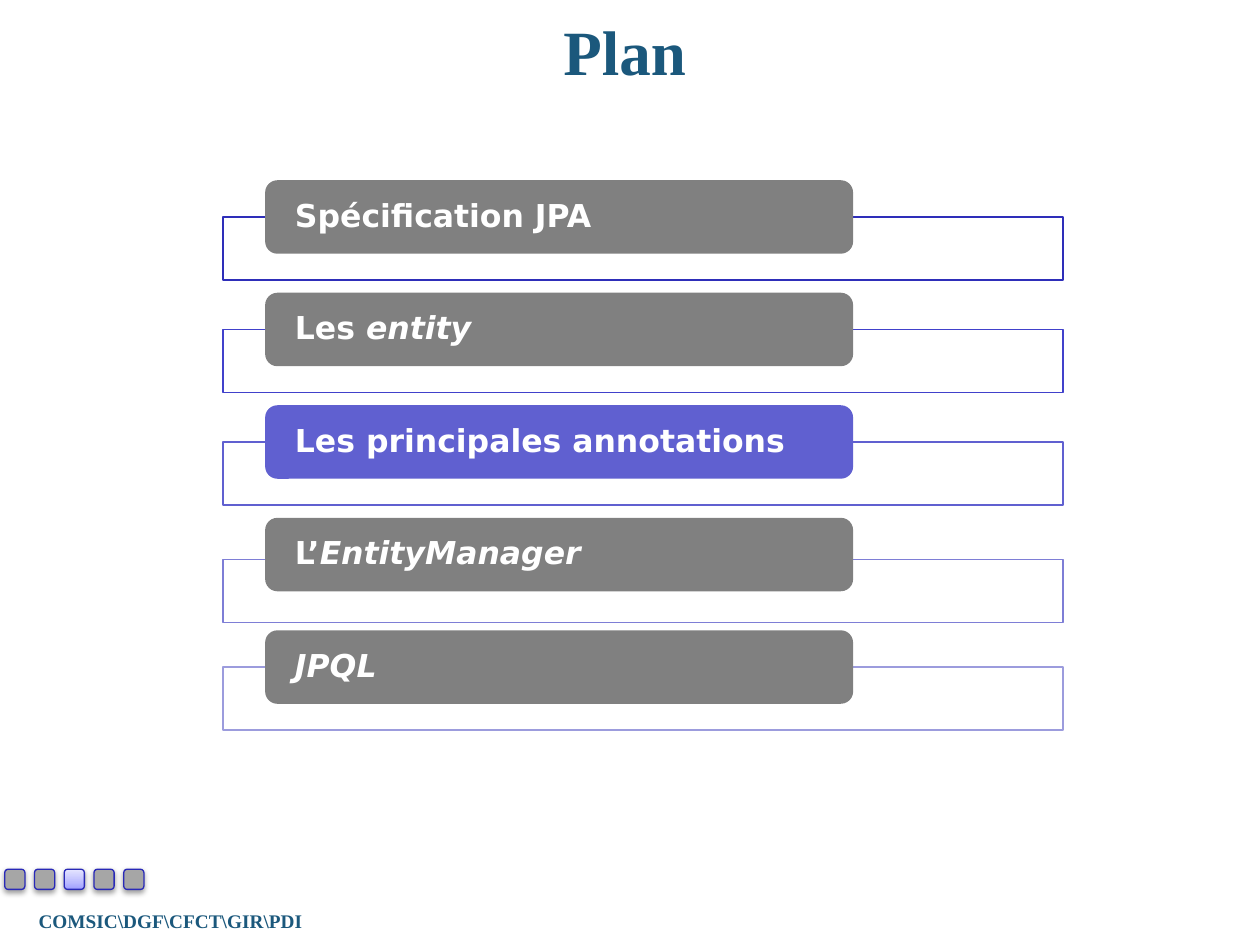
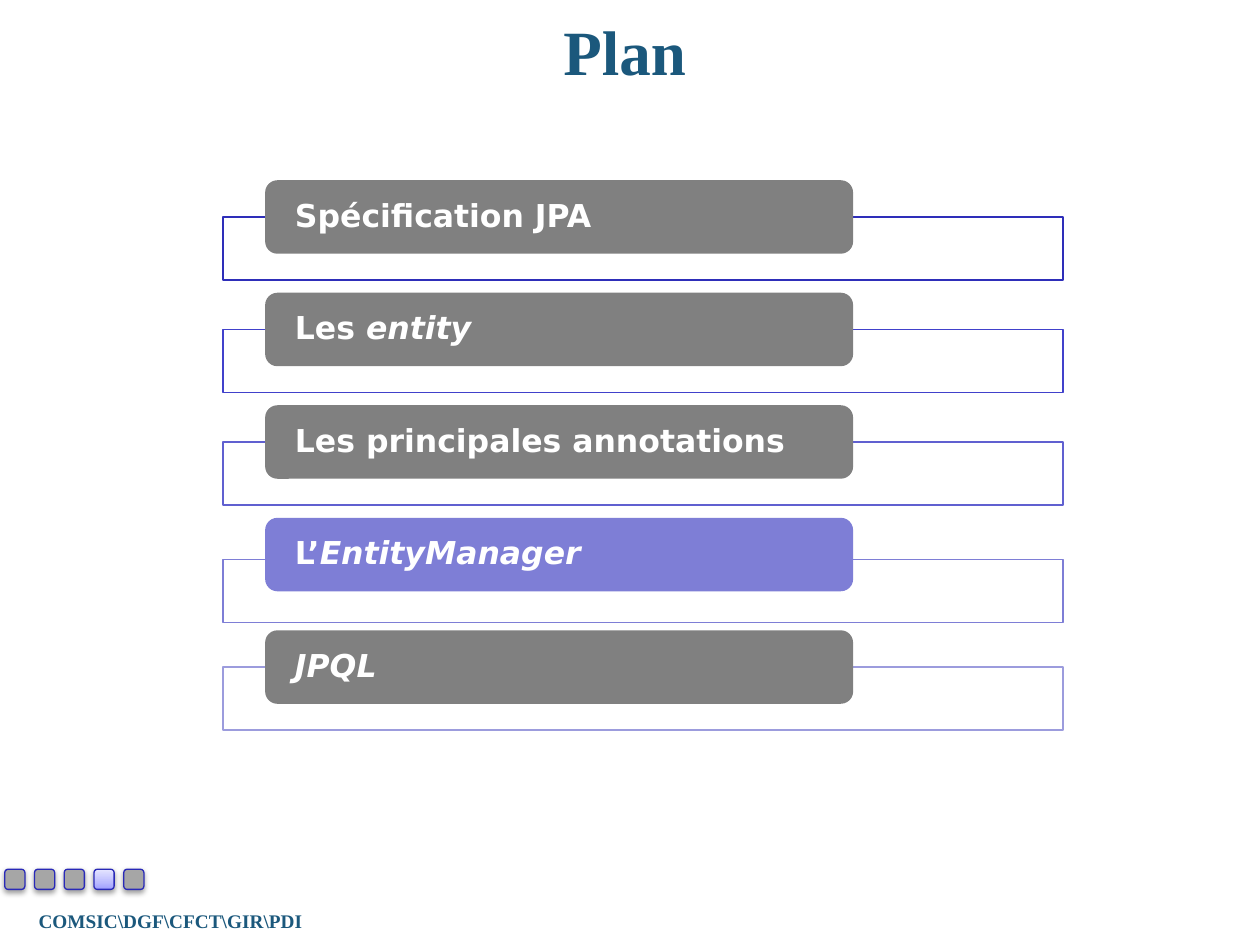
from collections import namedtuple

from lxml.etree import SubElement
from pptx import Presentation
from pptx.dml.color import RGBColor
from pptx.enum.shapes import MSO_SHAPE
from pptx.enum.text import MSO_ANCHOR, PP_ALIGN
from pptx.oxml import parse_xml
from pptx.oxml.ns import nsdecls, qn
from pptx.util import Pt

Box = namedtuple("Box", "left top width height")
Section = namedtuple("Section", "spans accent drop")

WHITE = RGBColor(0xFF, 0xFF, 0xFF)
TEAL = RGBColor(0x1B, 0x58, 0x7C)
GREY = RGBColor(0x80, 0x80, 0x80)
DOT_GREY = RGBColor(0xA6, 0xA6, 0xA6)
DOT_LINE = RGBColor(0x29, 0x29, 0xB8)
DOT_GRADIENT = (
    (0, RGBColor(0x9F, 0x9F, 0xFF)),
    (35, RGBColor(0xBB, 0xBB, 0xFF)),
    (100, RGBColor(0xE5, 0xE5, 0xFF)),
)

SERIF = "Times New Roman"
SANS = "DejaVu Sans"

SECTIONS = (
    Section((("Spécification JPA", False),), RGBColor(0x2E, 0x2E, 0xB9), 0),
    Section((("Les ", False), ("entity", True)), RGBColor(0x41, 0x41, 0xCB), 0),
    Section((("Les principales annotations", False),), RGBColor(0x60, 0x60, 0xD0), 0),
    Section((("L’", False), ("EntityManager", True)), RGBColor(0x7E, 0x7E, 0xD6), 3),
    Section((("JPQL", True),), RGBColor(0x9C, 0x9C, 0xDD), 0),
)
CURRENT_SECTIONS = (2, 3)

TITLE_BOX = Box(31, 3.5, 652, 51)
FOOTER_BOX = Box(-14.5, 515.5, 224, 21)
PLAN_BOX = Box(127.5, 103, 480, 314)
DOTS_BOX = Box(2.75, 496.75, 80, 11.5)
PLAN_PITCH = 64.3
DOT_PITCH = 17


def lengths(box):
    """Return the sides of a box as lengths in points."""
    return [Pt(side) for side in box]


def add_span(para, text, font, size, color, italic=False):
    """Add one bold run to a paragraph."""
    span = para.add_run()
    span.text = text
    span.font.name = font
    span.font.size = Pt(size)
    span.font.bold = True
    span.font.italic = italic
    span.font.color.rgb = color


def add_block(page, preset, box, fill, line=None):
    """Add a flat preset shape with a solid fill and an optional thin line."""
    block = page.shapes.add_shape(preset, *lengths(box))
    block.shadow.inherit = False
    block.fill.solid()
    block.fill.fore_color.rgb = fill
    if line is None:
        block.line.fill.background()
    else:
        block.line.color.rgb = line
        block.line.width = Pt(0.75)
    return block


def set_gradient(block, stops):
    """Replace the solid fill of a shape by a gradient rising from its foot."""
    marks = "".join(
        f'<a:gs pos="{place * 1000}"><a:srgbClr val="{color}"/></a:gs>'
        for place, color in stops
    )
    gradient = parse_xml(
        f'<a:gradFill {nsdecls("a")} rotWithShape="1"><a:gsLst>{marks}</a:gsLst>'
        '<a:lin ang="16200000" scaled="0"/></a:gradFill>'
    )
    properties = block.element.spPr
    properties.replace(properties.find(qn("a:solidFill")), gradient)


def set_shadow(block):
    """Give a shape a soft shadow just below it."""
    effects = block.element.spPr.find(qn("a:effectLst"))
    shadow = SubElement(effects, qn("a:outerShdw"), blurRad=str(Pt(3.1)),
                        dist=str(Pt(1.6)), dir="5400000", rotWithShape="0")
    color = SubElement(shadow, qn("a:srgbClr"), val="000000")
    SubElement(color, qn("a:alpha"), val="38000")


def add_title(page, box, text):
    """Place and format the slide title."""
    title = page.shapes.title
    title.left, title.top, title.width, title.height = lengths(box)
    frame = title.text_frame
    frame.vertical_anchor = MSO_ANCHOR.MIDDLE
    para = frame.paragraphs[0]
    para.alignment = PP_ALIGN.CENTER
    add_span(para, text, SERIF, 36, TEAL)


def add_footer(page, box):
    """Write the name of the department at the foot of the slide."""
    frame = page.shapes.add_textbox(*lengths(box)).text_frame
    frame.word_wrap = True
    frame.vertical_anchor = MSO_ANCHOR.MIDDLE
    para = frame.paragraphs[0]
    para.alignment = PP_ALIGN.CENTER
    add_span(para, "COMSIC\\DGF\\CFCT\\GIR\\PDI", SERIF, 11, TEAL)


def add_plan(page, box, current):
    """List the sections as labels over frames, the current one in its accent."""
    for index, section in enumerate(SECTIONS):
        top = box.top + index * PLAN_PITCH
        outline = add_block(page, MSO_SHAPE.RECTANGLE,
                            Box(box.left, top + 21 + section.drop, box.width, 36),
                            WHITE, section.accent)
        color = outline.element.spPr.find(qn("a:solidFill"))[0]
        SubElement(color, qn("a:alpha"), val="90000")

        label = add_block(page, MSO_SHAPE.ROUNDED_RECTANGLE,
                          Box(box.left + 24, top, box.width * 0.7, 42),
                          section.accent if index == current else GREY)
        frame = label.text_frame
        frame.word_wrap = True
        frame.vertical_anchor = MSO_ANCHOR.MIDDLE
        frame.margin_left = frame.margin_right = Pt(15)
        frame.margin_top = frame.margin_bottom = 0
        para = frame.paragraphs[0]
        para.alignment = PP_ALIGN.LEFT
        para.line_spacing = 0.9
        for text, italic in section.spans:
            add_span(para, text, SANS, 18, WHITE, italic)


def add_progress_dots(page, box, current):
    """Draw one small square per section, the current one lit."""
    for index in range(len(SECTIONS)):
        dot = add_block(page, MSO_SHAPE.ROUNDED_RECTANGLE,
                        Box(box.left + index * DOT_PITCH, box.top, box.height, box.height),
                        DOT_GREY, DOT_LINE)
        set_shadow(dot)
        if index == current:
            set_gradient(dot, DOT_GRADIENT)


def add_plan_page(deck, current):
    """Add a plan slide that points out the current section."""
    page = deck.slides.add_slide(deck.slide_layouts.get_by_name("Title Only"))
    add_footer(page, FOOTER_BOX)
    add_title(page, TITLE_BOX, "Plan")
    add_plan(page, PLAN_BOX, current)
    add_progress_dots(page, DOTS_BOX, current)


def main():
    """Build the deck and save it."""
    deck = Presentation()
    deck.slide_width, deck.slide_height = Pt(720), Pt(540)
    for current in CURRENT_SECTIONS:
        add_plan_page(deck, current)
    deck.save("out.pptx")


if __name__ == "__main__":
    main()
